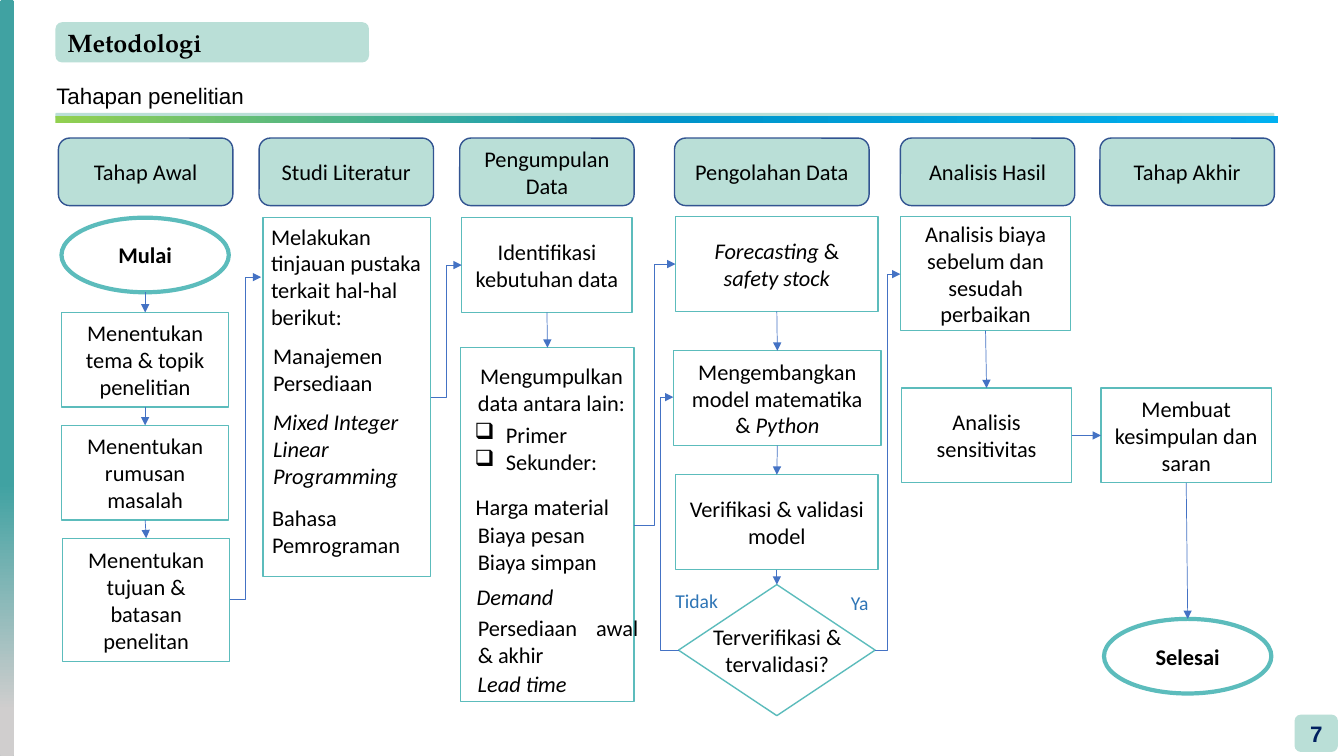
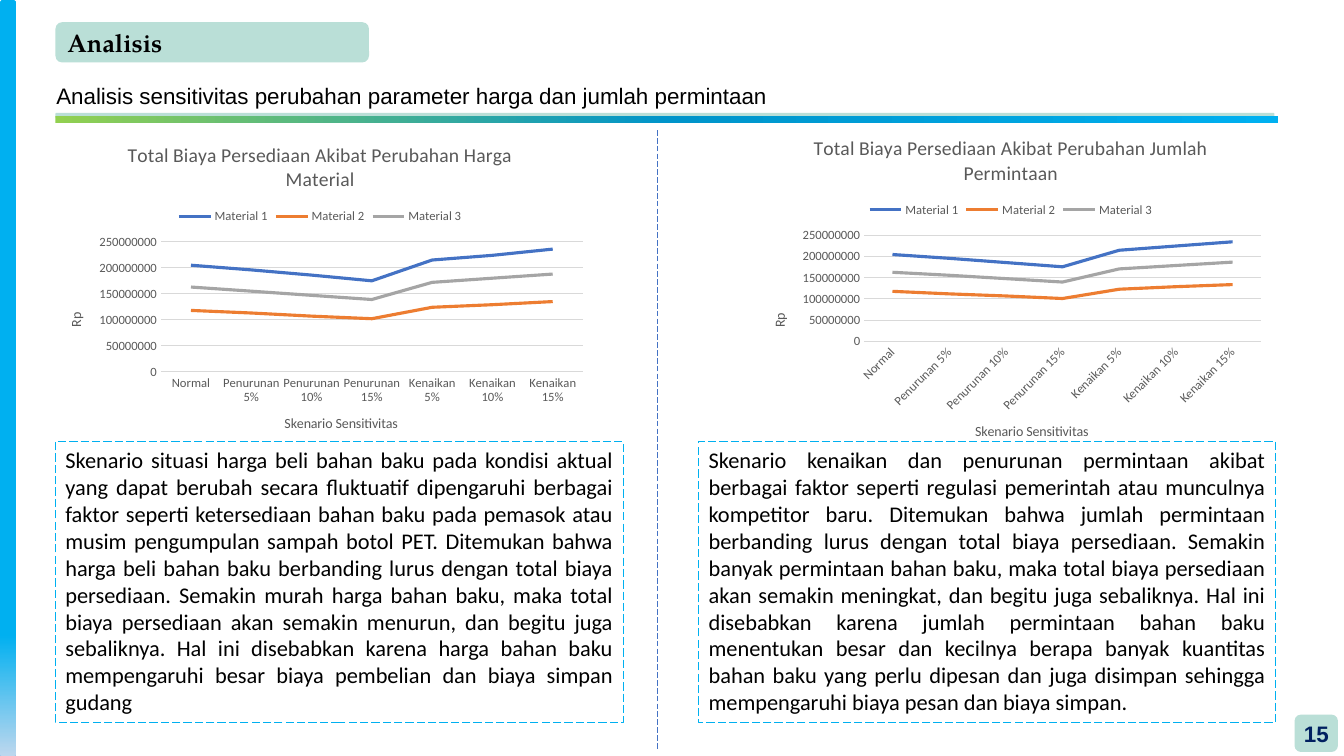
from lxml import etree
from pptx import Presentation, util as u
from pptx.chart.data import CategoryChartData
from pptx.dml.color import RGBColor
from pptx.enum import chart as charts, dml, shapes, text
from pptx.oxml.ns import qn

PX = 9144  # EMU, 100 px to the inch

BLACK = RGBColor(0x00, 0x00, 0x00)
WHITE = RGBColor(0xFF, 0xFF, 0xFF)
MINT = RGBColor(0xBA, 0xDF, 0xD7)
TEAL = RGBColor(0x5C, 0xBC, 0xBC)
DEEP_TEAL = RGBColor(0x40, 0xA2, 0xA2)
SILVER = RGBColor(0xD0, 0xCE, 0xCE)
NAVY = RGBColor(0x00, 0x20, 0x60)
INDIGO = RGBColor(0x32, 0x54, 0x91)
BLUE = RGBColor(0x44, 0x72, 0xC4)
ANSWER_BLUE = RGBColor(0x2E, 0x75, 0xB6)
SKY = RGBColor(0x00, 0xB0, 0xF0)
MID_BLUE = RGBColor(0x00, 0x94, 0xCA)
PALE_BLUE = RGBColor(0xBD, 0xD7, 0xEE)
GREEN = RGBColor(0x92, 0xD0, 0x50)
ORANGE = RGBColor(0xED, 0x7D, 0x31)
GREY = RGBColor(0xA5, 0xA5, 0xA5)
DARK_GREY = RGBColor(0x59, 0x59, 0x59)
LIGHT_GREY = RGBColor(0xD9, 0xD9, 0xD9)

RECT = shapes.MSO_SHAPE.RECTANGLE
ROUND = shapes.MSO_SHAPE.ROUNDED_RECTANGLE
OVAL = shapes.MSO_SHAPE.OVAL
DIAMOND = shapes.MSO_SHAPE.DIAMOND
LEFT, CENTER, JUSTIFY = text.PP_ALIGN.LEFT, text.PP_ALIGN.CENTER, text.PP_ALIGN.JUSTIFY
TOP, WEST, BOTTOM, EAST = range(4)

# Text between asterisks is italic.
PHASES = [("Tahap Awal", 58, 173), ("Studi Literatur", 257, 173),
          ("Pengumpulan Data", 456, 173), ("Pengolahan Data", 669, 193),
          ("Analisis Hasil", 893, 173), ("Tahap Akhir", 1091, 173)]
STEPS = {
    "start": (OVAL, "Mulai", 61, 216, 166, 74),
    "topic": (RECT, "Menentukan tema & topik penelitian", 61, 310, 166, 94),
    "problem": (RECT, "Menentukan rumusan masalah", 61, 422, 166, 94),
    "goal": (RECT, "Menentukan tujuan & batasan penelitan", 62, 534, 166, 122),
    "literature": (RECT, "", 261, 216, 166, 356),
    "needs": (RECT, "Identifikasi kebutuhan data", 458, 216, 169, 94),
    "collection": (RECT, "", 457, 345, 172, 351),
    "forecast": (RECT, "*Forecasting* & *safety stock*", 670, 215, 201, 94),
    "model": (RECT, "Mengembangkan model matematika & *Python*", 668, 348, 206, 94),
    "check": (RECT, "Verifikasi & validasi model", 670, 471, 201, 94),
    "decision": (DIAMOND, "", 673, 580, 195, 130),
    "cost": (RECT, "Analisis biaya sebelum dan sesudah perbaikan", 893, 215, 169, 113),
    "sensitivity": (RECT, "Analisis sensitivitas", 894, 385, 169, 94),
    "conclusion": (RECT, "Membuat kesimpulan dan saran", 1092, 385, 169, 94),
    "end": (OVAL, "Selesai", 1095, 614, 166, 74),
}
DOWN_ARROWS = [("start", "topic"), ("topic", "problem"), ("problem", "goal"),
               ("needs", "collection"), ("forecast", "model"), ("model", "check"),
               ("check", "decision"), ("cost", "sensitivity"), ("conclusion", "end")]
# Start, end, and where the bend lies as a share of the width
ELBOWS = [((228, 595), (259, 275), 0.5), ((427, 394), (458, 263), 0.5),
          ((629, 521), (670, 262), 0.5), ((868, 645), (893, 272), 0.5),
          ((673, 645), (668, 394), 3.6)]
NOTES = [
    (["Melakukan tinjauan pustaka terkait hal-hal berikut:"], 259, 216, 176, 118, LEFT),
    (["Manajemen Persediaan"], 261, 335, 141, 64, LEFT),
    (["*Mixed Integer Linear Programming*"], 261, 400, 189, 91, LEFT),
    (["Bahasa Pemrograman"], 260, 495, 161, 64, LEFT),
    (["Mengumpulkan data antara lain:"], 456, 354, 182, 64, CENTER),
    (["Harga material"], 462, 484, 172, 37, JUSTIFY),
    (["Biaya pesan", "Biaya simpan"], 464, 512, 162, 64, JUSTIFY),
    (["*Demand*"], 463, 574, 139, 37, JUSTIFY),
    (["Persediaan awal & akhir"], 464, 604, 179, 64, JUSTIFY),
    (["*Lead time*"], 464, 660, 136, 37, JUSTIFY),
    (["Terverifikasi & tervalidasi?"], 686, 613, 170, 64, CENTER),
]
SOURCES = ["Primer", "Sekunder:"]
ANSWERS = [("Ya", 834, 581), ("Tidak", 660, 579)]

SCENARIOS = ["Normal", "Penurunan 5%", "Penurunan 10%", "Penurunan 15%",
             "Kenaikan 5%", "Kenaikan 10%", "Kenaikan 15%"]
SERIES_COLORS = [BLUE, ORANGE, GREY]
MILLION = 1_000_000
ANALYSES = [
    {"title": "Total Biaya Persediaan Akibat Perubahan Harga Material",
     "chart": (46, 125, 543, 324), "label_angle": 0,
     "millions": [(205, 196, 186, 175, 215, 224, 236),
                  (118, 113, 107, 102, 124, 129, 135),
                  (163, 155, 147, 139, 172, 180, 188)],
     "box": (55, 438, 563, 279),
     "text": "Skenario situasi harga beli bahan baku pada kondisi aktual yang dapat berubah "
             "secara fluktuatif dipengaruhi berbagai faktor seperti ketersediaan bahan baku "
             "pada pemasok atau musim pengumpulan sampah botol PET. Ditemukan bahwa harga "
             "beli bahan baku berbanding lurus dengan total biaya persediaan. Semakin murah "
             "harga bahan baku, maka total biaya persediaan akan semakin menurun, dan begitu "
             "juga sebaliknya. Hal ini disebabkan karena harga bahan baku mempengaruhi besar "
             "biaya pembelian dan biaya simpan gudang"},
    {"title": "Total Biaya Persediaan Akibat Perubahan Jumlah Permintaan",
     "chart": (744, 118, 517, 339), "label_angle": -45,
     "millions": [(205, 196, 186, 176, 215, 225, 235),
                  (118, 112, 107, 101, 123, 129, 134),
                  (163, 156, 148, 140, 171, 179, 187)],
     "box": (693, 438, 572, 279),
     "text": "Skenario kenaikan dan penurunan permintaan akibat berbagai faktor seperti "
             "regulasi pemerintah atau munculnya kompetitor baru. Ditemukan bahwa jumlah "
             "permintaan berbanding lurus dengan total biaya persediaan. Semakin banyak "
             "permintaan bahan baku, maka total biaya persediaan akan semakin meningkat, dan "
             "begitu juga sebaliknya. Hal ini disebabkan karena jumlah permintaan bahan baku "
             "menentukan besar dan kecilnya berapa banyak kuantitas bahan baku yang perlu "
             "dipesan dan juga disimpan sehingga mempengaruhi biaya pesan dan biaya simpan."},
]


def px(*lengths):
    return [u.Emu(length * PX) for length in lengths]


def style_font(font, size, color=BLACK, name="Calibri", bold=False, italic=False):
    font.size, font.name, font.bold, font.italic = u.Pt(size), name, bold, italic
    font.color.rgb = color


def write(frame, lines, align=LEFT, size=16, bullet=None, spacing=None, **font):
    """Fill a text frame, one paragraph a line, with *italic* runs."""
    frame.word_wrap = True
    for index, line in enumerate(lines):
        paragraph = frame.add_paragraph() if index else frame.paragraphs[0]
        paragraph.alignment = align
        if spacing:
            paragraph.line_spacing = spacing
        if bullet:
            properties = paragraph._p.get_or_add_pPr()
            properties.set("marL", str(31 * PX))
            properties.set("indent", str(-31 * PX))
            etree.SubElement(properties, qn("a:buChar")).set("char", bullet)
        for part, words in enumerate(line.split("*")):
            if words:
                run = paragraph.add_run()
                run.text = words
                style_font(run.font, size, italic=part % 2 == 1, **font)


def add_text(slide, lines, x, y, w, h, align=LEFT, **style):
    box = slide.shapes.add_textbox(*px(x, y, w, h))
    write(box.text_frame, lines, align, **style)


def add_box(slide, kind, x, y, w, h, fill=None, line=None, width=1):
    shape = slide.shapes.add_shape(kind, *px(x, y, w, h))
    shape.shadow.inherit = False
    if fill is None:
        shape.fill.background()
    else:
        shape.fill.solid()
        shape.fill.fore_color.rgb = fill
    if line is None:
        shape.line.fill.background()
    else:
        shape.line.color.rgb = line
        shape.line.width = u.Pt(width)
    shape.text_frame.vertical_anchor = text.MSO_ANCHOR.MIDDLE
    return shape


def add_gradient(shape, stops, angle):
    shape.fill.gradient()
    shape.fill.gradient_angle = angle
    stop_list = shape.element.spPr.find(".//" + qn("a:gsLst"))
    for stop in list(stop_list):
        stop_list.remove(stop)
    for percent, color in stops:
        stop = etree.SubElement(stop_list, qn("a:gs"), pos=str(percent * 1000))
        etree.SubElement(stop, qn("a:srgbClr"), val=str(color))


def add_line(slide, begin, end, kind=shapes.MSO_CONNECTOR.STRAIGHT, arrow=True):
    connector = slide.shapes.add_connector(kind, *px(*begin, *end))
    connector.line.color.rgb = BLUE
    connector.line.width = u.Pt(0.5)
    properties = connector.element.spPr
    if arrow:
        etree.SubElement(properties.find(qn("a:ln")), qn("a:tailEnd"), type="triangle")
    etree.SubElement(properties, qn("a:effectLst"))
    return connector


def add_elbow(slide, begin, end, bend):
    connector = add_line(slide, begin, end, shapes.MSO_CONNECTOR.ELBOW)
    geometry = connector.element.spPr.find(qn("a:prstGeom"))
    etree.SubElement(geometry.find(qn("a:avLst")), qn("a:gd"),
                     name="adj1", fmla=f"val {round(bend * 100000)}")


def join(slide, nodes, first, first_side, second, second_side):
    """Draw an arrow between two steps; ovals number their sides otherwise."""
    ends = []
    for key, side in ((first, first_side), (second, second_side)):
        x, y, w, h = STEPS[key][2:]
        ends.append([(x + w // 2, y), (x, y + h // 2),
                     (x + w // 2, y + h), (x + w, y + h // 2)][side])
    connector = add_line(slide, *ends)
    if STEPS[first][0] != OVAL:
        connector.begin_connect(nodes[first], first_side)
    if STEPS[second][0] != OVAL:
        connector.end_connect(nodes[second], second_side)


def new_slide(presentation, title, subtitle, number, strip_width, strip_stops):
    slide = presentation.slides.add_slide(presentation.slide_layouts[6])
    strip = add_box(slide, ROUND, 0, 0, strip_width, 750)
    add_gradient(strip, strip_stops, 270)
    heading = add_box(slide, ROUND, 55, 22, 311, 40, MINT)
    write(heading.text_frame, [title], size=18, name="TeX Gyre Pagella", bold=True)
    add_text(slide, [subtitle], 46, 80, 1261, 40, name="Arial", spacing=0.9)
    add_box(slide, ROUND, 55, 112, 1209, 5, MINT)
    rule = add_box(slide, RECT, 55, 115, 1213, 7)
    add_gradient(rule, [(0, GREEN), (50, MID_BLUE), (100, SKY)], 0)
    badge = add_box(slide, ROUND, 1284, 709, 43, 37, MINT)
    badge.text_frame.margin_left = badge.text_frame.margin_right = 0
    write(badge.text_frame, [str(number)], CENTER, name="Arial", color=NAVY, bold=True)
    return slide


def set_title(owner, words, size):
    owner.has_title = True
    title = owner.chart_title if hasattr(owner, "chart_title") else owner.axis_title
    run = title.text_frame.paragraphs[0].add_run()
    run.text = words
    style_font(run.font, size, DARK_GREY)


def add_cost_chart(slide, analysis):
    data = CategoryChartData(number_format="General")
    data.categories = SCENARIOS
    for index, values in enumerate(analysis["millions"], 1):
        data.add_series(f"Material {index}", [value * MILLION for value in values])
    chart = slide.shapes.add_chart(charts.XL_CHART_TYPE.LINE, *px(*analysis["chart"]), data).chart
    style_font(chart.font, 10)
    set_title(chart, analysis["title"], 14)
    chart.has_legend = True
    chart.legend.position = charts.XL_LEGEND_POSITION.TOP
    chart.legend.include_in_layout = False
    style_font(chart.legend.font, 9, DARK_GREY)
    category, value = chart.category_axis, chart.value_axis
    for axis, words in ((category, "Skenario Sensitivitas"), (value, "Rp")):
        set_title(axis, words, 10)
        axis.major_tick_mark = axis.minor_tick_mark = charts.XL_TICK_MARK.NONE
        style_font(axis.tick_labels.font, 9, DARK_GREY)
    body = category._element.find(qn("c:txPr")).find(qn("a:bodyPr"))
    body.set("rot", str(analysis["label_angle"] * 60000))
    value.minimum_scale, value.maximum_scale, value.major_unit = 0, 250 * MILLION, 50 * MILLION
    value.format.line.fill.background()
    for line in (category.format.line, value.major_gridlines.format.line):
        line.color.rgb = LIGHT_GREY
        line.width = u.Pt(0.75)
    chart.plots[0].vary_by_categories = False
    for series, color in zip(chart.plots[0].series, SERIES_COLORS):
        series.smooth = False
        series.marker.style = charts.XL_MARKER_STYLE.NONE
        series.format.line.color.rgb = color
        series.format.line.width = u.Pt(2.25)


def build_method(presentation):
    slide = new_slide(presentation, "Metodologi", "Tahapan penelitian", 7, 14,
                      [(64, DEEP_TEAL), (94, SILVER)])
    for name, x, w in PHASES:
        phase = add_box(slide, ROUND, x, 137, w, 67, MINT, INDIGO)
        write(phase.text_frame, [name], CENTER)
    nodes = {}
    for key, (kind, words, *place) in STEPS.items():
        oval = kind == OVAL
        nodes[key] = add_box(slide, kind, *place, WHITE, TEAL, 3 if oval else 1)
        if words:
            write(nodes[key].text_frame, [words], CENTER, bold=oval)
    for first, second in DOWN_ARROWS:
        join(slide, nodes, first, BOTTOM, second, TOP)
    join(slide, nodes, "sensitivity", EAST, "conclusion", WEST)
    for elbow in ELBOWS:
        add_elbow(slide, *elbow)
    for note in NOTES:
        add_text(slide, *note)
    add_text(slide, SOURCES, 461, 413, 198, 64, JUSTIFY, bullet="❑")
    for answer, x, y in ANSWERS:
        add_text(slide, [answer], x, y, 63, 34, size=14, color=ANSWER_BLUE)


def build_analysis(presentation):
    slide = new_slide(presentation, "Analisis",
                      "Analisis sensitivitas perubahan parameter harga dan jumlah permintaan",
                      15, 16, [(84, SKY), (100, PALE_BLUE)])
    for analysis in ANALYSES:
        add_cost_chart(slide, analysis)
        box = add_box(slide, RECT, *analysis["box"], line=SKY, width=0.75)
        box.line.dash_style = dml.MSO_LINE.LONG_DASH
        box.text_frame.vertical_anchor = text.MSO_ANCHOR.TOP
        write(box.text_frame, [analysis["text"]], JUSTIFY)
    divider = add_line(slide, (652, 129), (652, 744), arrow=False)
    divider.line.dash_style = dml.MSO_LINE.LONG_DASH


def main():
    presentation = Presentation()
    presentation.slide_width, presentation.slide_height = px(1333, 750)
    build_method(presentation)
    build_analysis(presentation)
    presentation.save("out.pptx")


if __name__ == "__main__":
    main()
